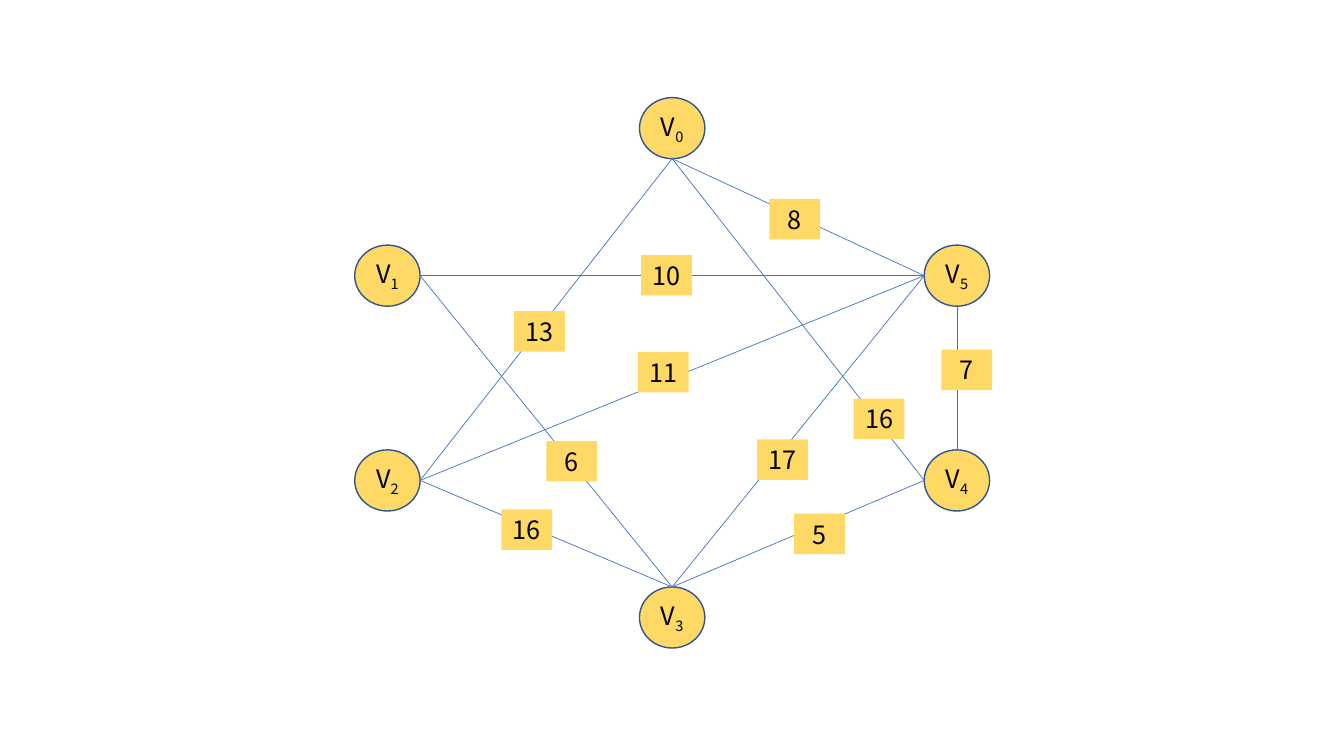
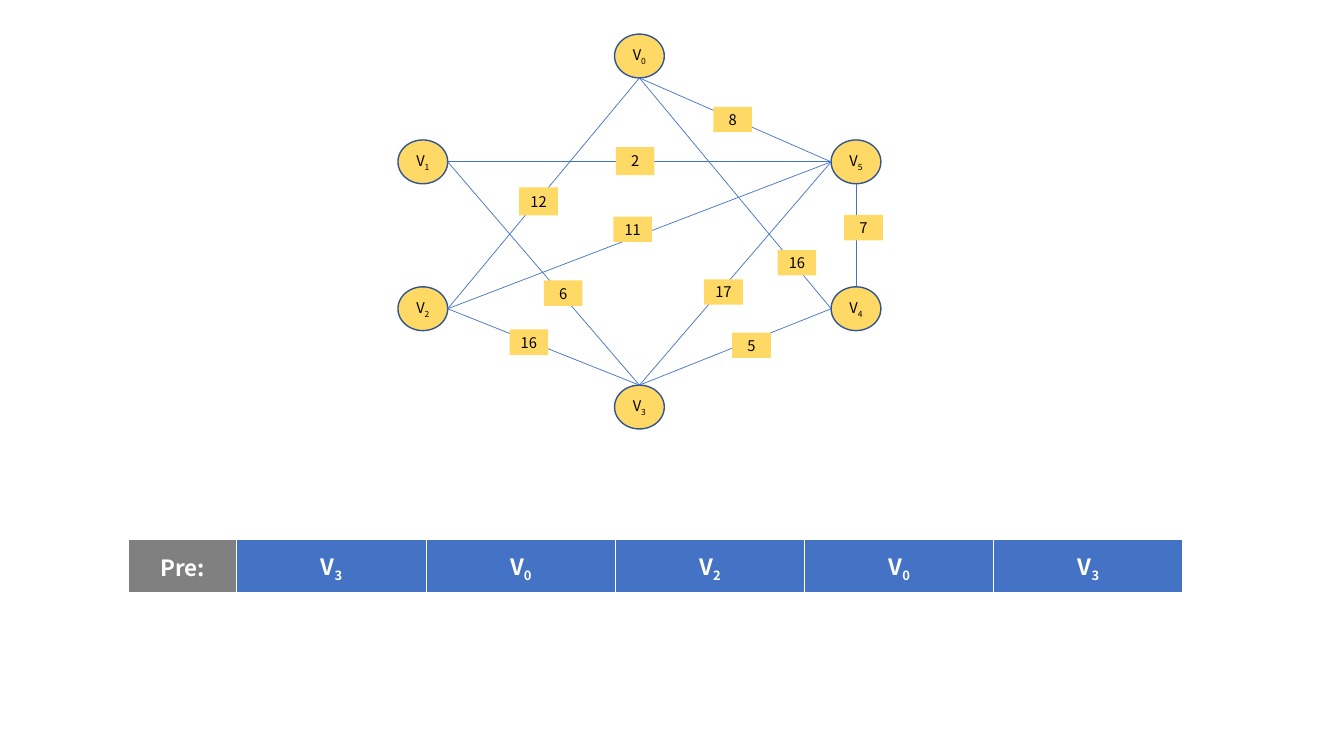
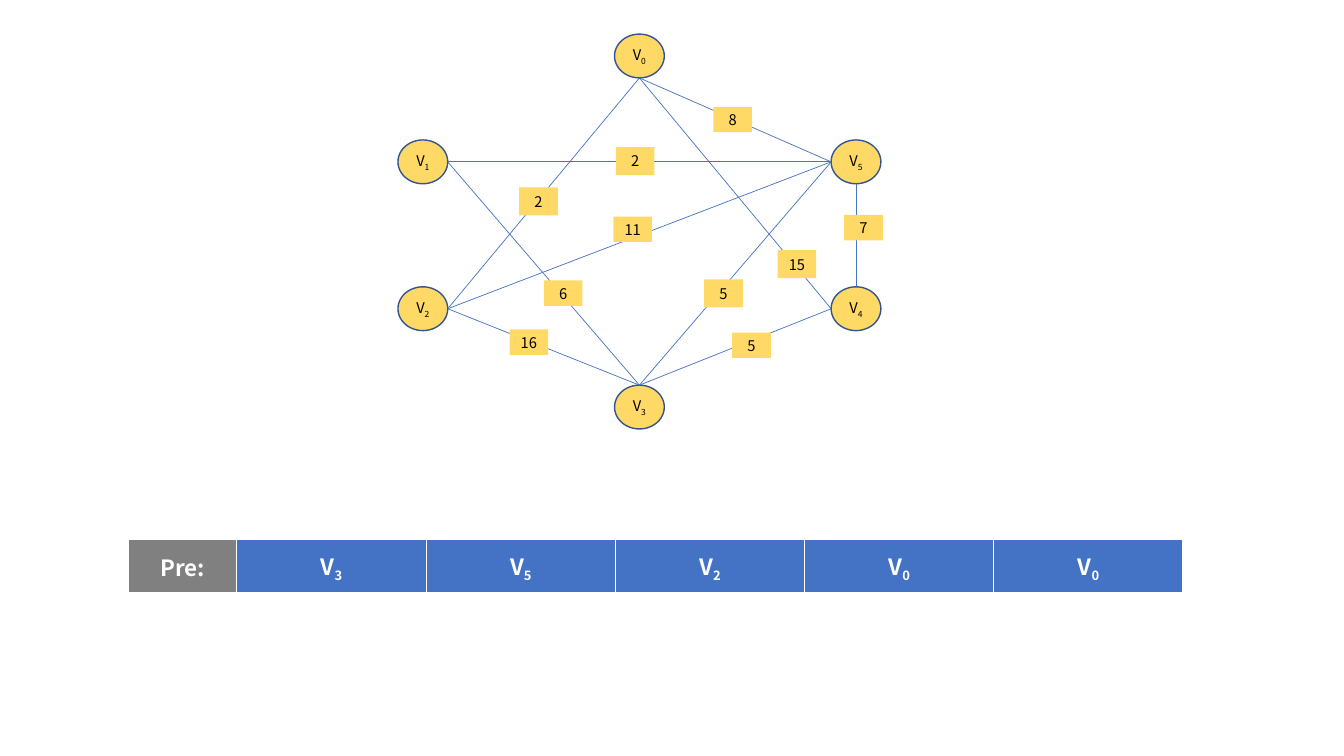
from lxml.etree import SubElement
from pptx import Presentation
from pptx.dml.color import RGBColor
from pptx.enum.shapes import MSO_CONNECTOR as Conn, MSO_SHAPE as Shape
from pptx.enum.text import MSO_ANCHOR as Anchor, PP_ALIGN as Align
from pptx.oxml.ns import qn
from pptx.util import Cm, Pt

COLORS = {"gold": "FFD966", "outline": "325491", "blue": "4472C4",
          "gray": "808080", "black": "000000", "white": "FFFFFF"}
FONT = "Noto Sans CJK JP"

# Vertex number: left and top, in percent of the graph box
NODES = {0: (44.85, 0), 1: (0, 26.8), 2: (0, 64), 3: (44.85, 88.9),
         5: (89.7, 26.8), 4: (89.7, 64)}
NODE_W, NODE_H, WEIGHT_W = 10.3, 11.1, 8

# Where an edge leaves a vertex, as a share of the vertex size
SIDES = {"top": (0.5, 0), "left": (0, 0.5), "bottom": (0.5, 1), "right": (1, 0.5)}

# Vertex pair: side at each end, weight, left and top of the weight in percent
EDGES = {
    (0, 2): ("bottom", "right", 13, 25.1, 38.8),
    (0, 4): ("bottom", "left", 16, 78.6, 54.7),
    (5, 2): ("left", "right", 11, 44.6, 46.2),
    (3, 2): ("top", "right", 16, 23.1, 74.8),
    (3, 4): ("top", "left", 5, 69.2, 75.6),
    (3, 5): ("top", "left", 17, 63.4, 62.1),
    (4, 5): ("top", "bottom", 7, 92.4, 45.8),
    (1, 5): ("right", "left", 10, 45.1, 28.6),
    (1, 3): ("right", "top", 6, 30.2, 62.4),
    (0, 5): ("bottom", "left", 8, 65.3, 18.4),
}


def rgb(name):
    return RGBColor.from_string(COLORS[name])


def write(tf, text, sub="", size=18, color="black", bold=False):
    """Write centred text with an optional subscript."""
    p = tf.paragraphs[0]
    p.alignment = Align.CENTER
    for part in filter(None, (text, sub)):
        r = p.add_run()
        r.text = part
        r.font.name, r.font.size, r.font.bold = FONT, Pt(size), bold
        r.font.color.rgb = rgb(color)
        if part is sub:
            r.font._element.set("baseline", "-25000")


def add_gold_shape(slide, kind, left, top, width, height, text, sub="", size=18):
    sp = slide.shapes.add_shape(kind, Cm(left), Cm(top), Cm(width), Cm(height))
    sp.shadow.inherit = False
    sp.fill.solid()
    sp.fill.fore_color.rgb = rgb("gold")
    if kind == Shape.OVAL:
        sp.line.color.rgb = rgb("outline")
        sp.line.width = Pt(1)
    else:
        sp.line.fill.background()
    tf = sp.text_frame
    tf.margin_left = tf.margin_right = tf.margin_top = tf.margin_bottom = 0
    tf.vertical_anchor = Anchor.MIDDLE
    write(tf, text, sub, size=size)


def add_edge(slide, start, end):
    line = slide.shapes.add_connector(Conn.STRAIGHT, *map(Cm, start + end))
    line.line.color.rgb = rgb("blue")
    line.line.width = Pt(0.5)
    SubElement(line._element.spPr, qn("a:effectLst"))


def add_graph(slide, left, top, width, height, size, weight_h, changes=None):
    """Draw the weighted graph; changed weights get a slightly taller box."""
    changes = changes or {}

    def at(x, y):
        return left + x * width / 100, top + y * height / 100

    def port(node, side):
        (x, y), (dx, dy) = NODES[node], SIDES[side]
        return at(x + dx * NODE_W, y + dy * NODE_H)

    # Vertices
    for node, corner in NODES.items():
        add_gold_shape(slide, Shape.OVAL, *at(*corner), NODE_W * width / 100,
                       NODE_H * height / 100, "V", str(node), size)
    # Edges
    for (a, b), (side_a, side_b, *_) in EDGES.items():
        add_edge(slide, port(a, side_a), port(b, side_b))
    # Weights
    for pair, (_, _, weight, x, y) in EDGES.items():
        box_h = weight_h + (0.07 if pair in changes else 0)
        add_gold_shape(slide, Shape.RECTANGLE, *at(x, y), WEIGHT_W * width / 100,
                       box_h, str(changes.get(pair, weight)), size=size)


def add_borders(cell):
    tc_pr = cell._tc.get_or_add_tcPr()
    for i, (tag, width) in enumerate((("lnL", 1), ("lnR", 1), ("lnT", 1), ("lnB", 3))):
        ln = tc_pr.makeelement(qn("a:" + tag), {"w": str(Pt(width))})
        fill = SubElement(ln, qn("a:solidFill"))
        SubElement(fill, qn("a:srgbClr"), val=COLORS["white"])
        tc_pr.insert(i, ln)


def add_pre_table(slide, left, top, head_w, col_w, height, vertices):
    count = len(vertices)
    table = slide.shapes.add_table(1, count + 1, Cm(left), Cm(top),
                                   Cm(head_w + count * col_w), Cm(height)).table
    table.horz_banding = False
    for i, vertex in enumerate([None] + vertices):
        table.columns[i].width = Cm(col_w if i else head_w)
        cell = table.cell(0, i)
        cell.margin_left = cell.margin_right = cell.margin_top = Cm(0.03)
        cell.margin_bottom = 0
        cell.vertical_anchor = Anchor.MIDDLE
        cell.fill.solid()
        cell.fill.fore_color.rgb = rgb("blue" if i else "gray")
        add_borders(cell)
        text, sub = ("V", str(vertex)) if i else ("Pre:", "")
        write(cell.text_frame, text, sub, size=16, color="white", bold=True)


def add_step_slide(prs, changes, vertices):
    """Graph above, table of predecessors below."""
    slide = prs.slides.add_slide(prs.slide_layouts[6])
    add_graph(slide, 10.03, 0.86, 12.17, 9.95, 10.5, 0.64, changes)
    add_pre_table(slide, 3.23, 13.59, 2.74, 4.77, 1.37, vertices)


def main():
    prs = Presentation()
    prs.slide_width, prs.slide_height = Cm(33.87), Cm(19.05)
    slide = prs.slides.add_slide(prs.slide_layouts[6])
    add_graph(slide, 8.94, 2.46, 16, 13.87, 18, 1.02)
    add_step_slide(prs, {(0, 2): 12, (1, 5): 2}, [3, 0, 2, 0, 3])
    add_step_slide(prs, {(0, 2): 2, (1, 5): 2, (0, 4): 15, (3, 5): 5},
                   [3, 5, 2, 0, 0])
    prs.save("out.pptx")


if __name__ == "__main__":
    main()
